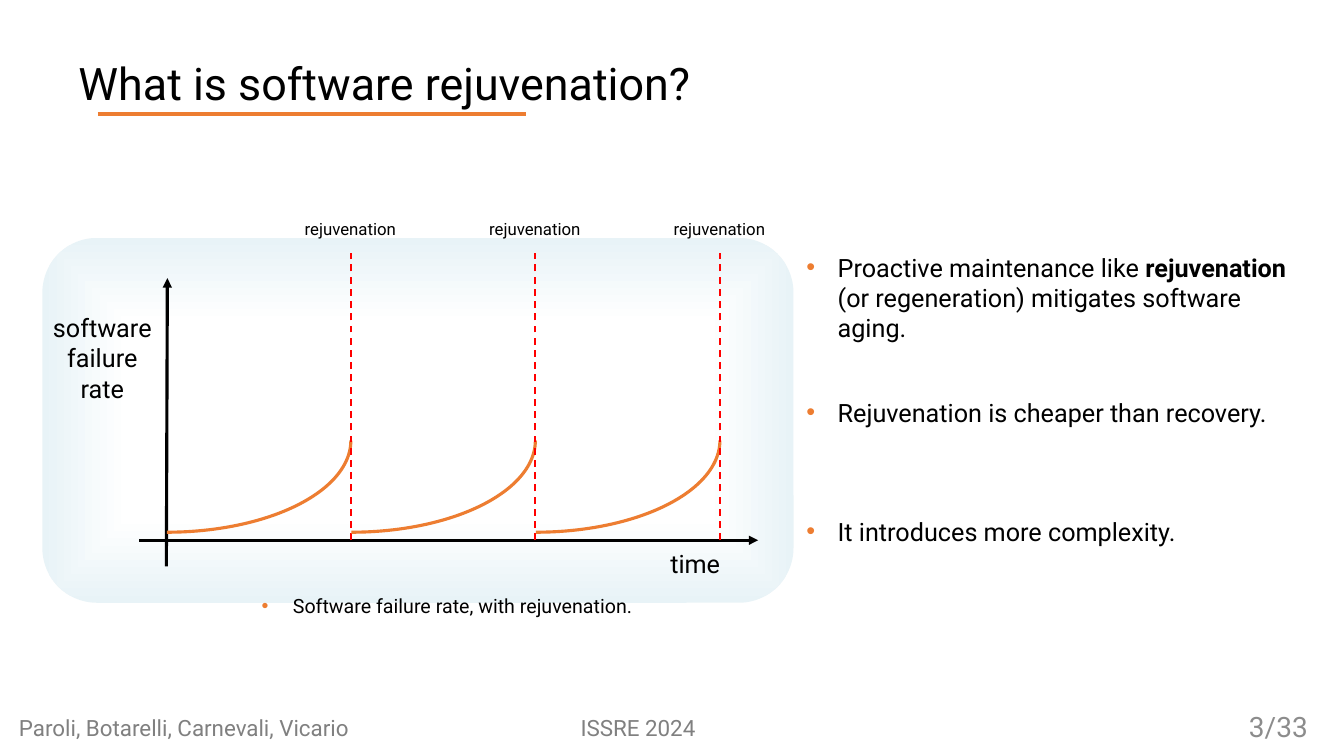
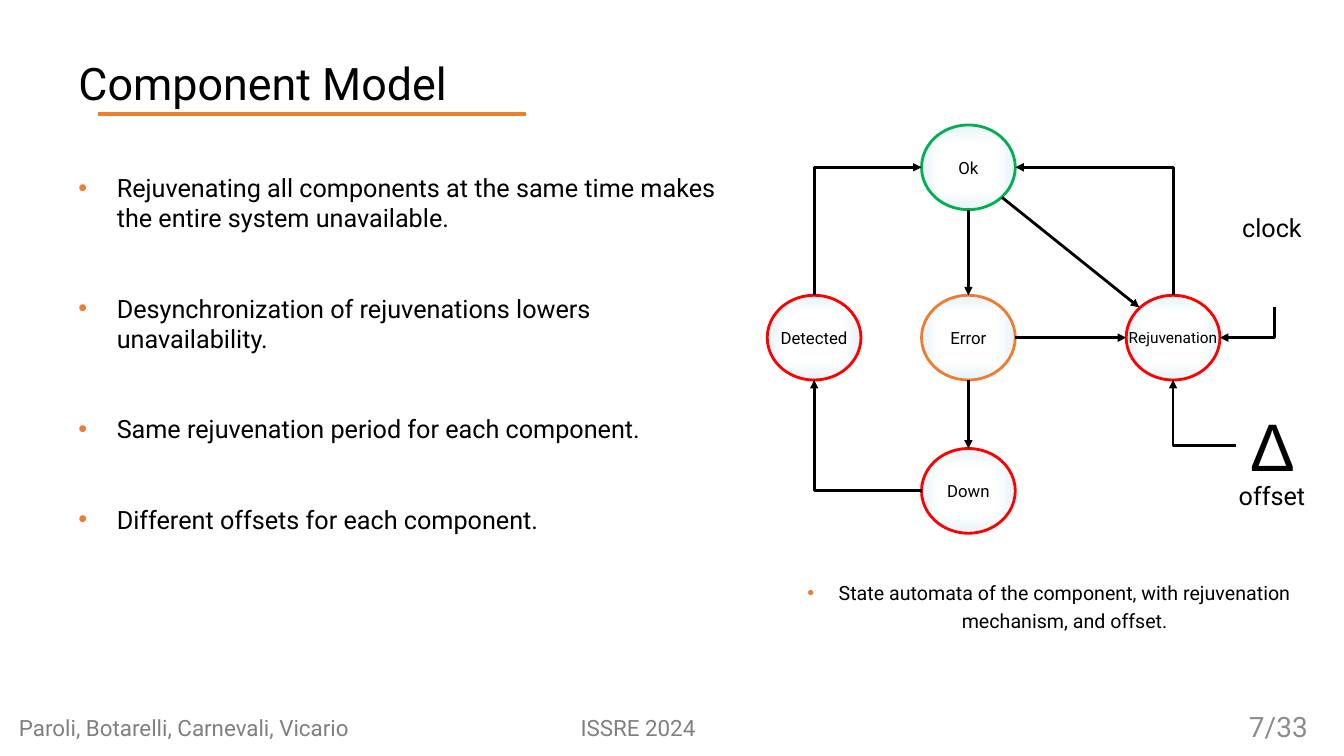
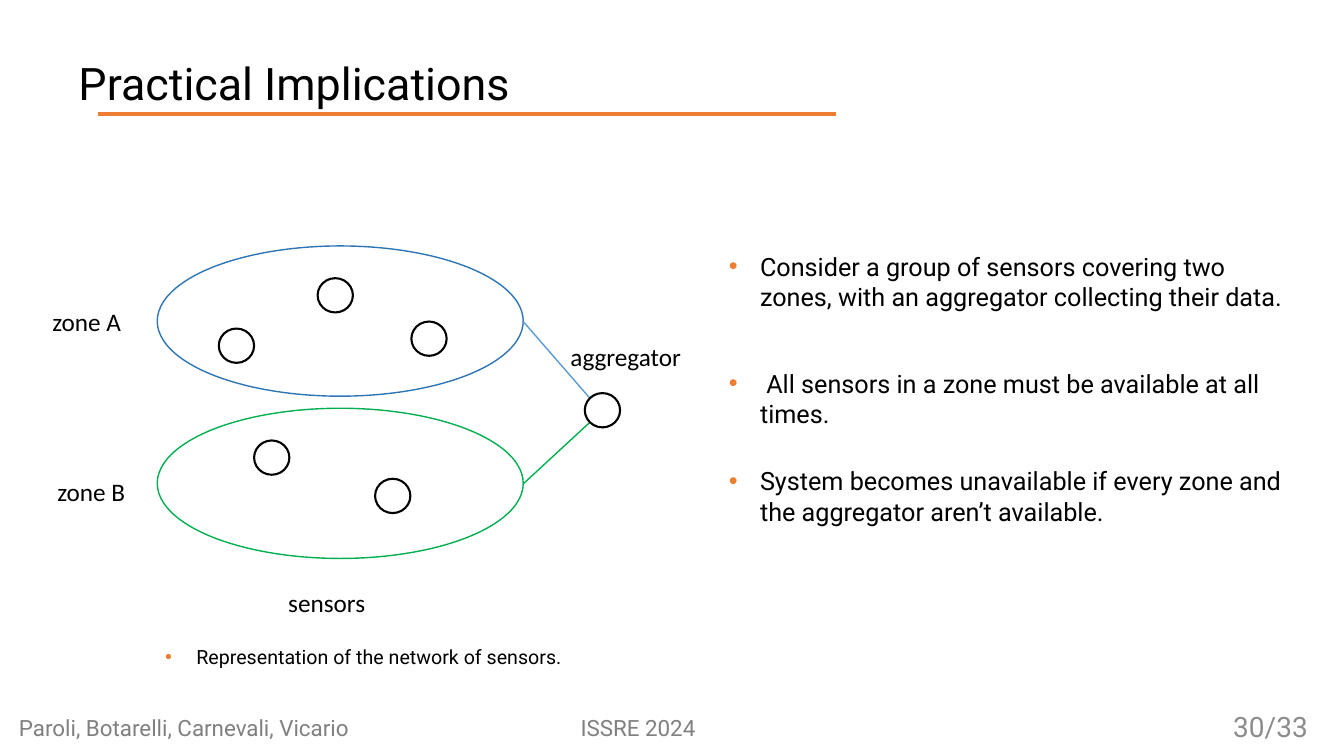
from lxml.etree import SubElement as Sub
from pptx import Presentation
from pptx.dml.color import RGBColor as RGB
from pptx.enum.dml import MSO_LINE
from pptx.enum.shapes import MSO_CONNECTOR as LINK, MSO_SHAPE as SHAPE
from pptx.enum.text import MSO_ANCHOR as ANCHOR, PP_ALIGN as ALIGN
from pptx.oxml.ns import qn
from pptx.util import Inches, Pt

BLACK = RGB(0x00, 0x00, 0x00)
WHITE = RGB(0xFF, 0xFF, 0xFF)
ORANGE = RGB(0xED, 0x7D, 0x31)
RED = RGB(0xFF, 0x00, 0x00)
GREEN = RGB(0x00, 0xB0, 0x50)
BLUE = RGB(0x2E, 0x75, 0xB6)
SKY = RGB(0x5B, 0x9B, 0xD5)
ICE = RGB(0xE8, 0xF3, 0xF7)
GRAY = RGB(0x80, 0x80, 0x80)
SILVER = RGB(0x8C, 0x8C, 0x8C)
FONT = "Roboto"


# Shared parts

def bullet(para, indent):
    props = para._p.get_or_add_pPr()
    props.set("marL", str(Inches(indent)))
    props.set("indent", str(-Inches(indent)))
    Sub(Sub(props, qn("a:buClr")), qn("a:srgbClr"), val=str(ORANGE))
    Sub(props, qn("a:buFont"), typeface="Arial")
    Sub(props, qn("a:buChar"), char="•")


def write(frame, lines, size, color=BLACK, align=ALIGN.LEFT, font=FONT,
          indent=0, gap=0, lead=None):
    """Fill a text frame; parts between ** are bold."""
    for num, line in enumerate(lines):
        para = frame.add_paragraph() if num else frame.paragraphs[0]
        if indent:
            bullet(para, indent)
        para.alignment = align
        if lead:
            para.line_spacing = lead
        if num and gap:
            para.space_before = Pt(gap)
        para.font.size = Pt(size)
        para.font.name = font
        para.font.color.rgb = color
        for pos, part in enumerate(line.split("**")):
            run = para.add_run()
            run.text = part
            if pos % 2:
                run.font.bold = True


def text(slide, x, y, w, h, lines, size, wrap=True, **style):
    box = slide.shapes.add_textbox(Inches(x), Inches(y), Inches(w), Inches(h))
    box.text_frame.word_wrap = wrap
    write(box.text_frame, lines, size, **style)
    return box


def caption(slide, x, y, line):
    text(slide, x, y, 6.03, 0.4, [line], 14, align=ALIGN.CENTER,
         indent=0.31, lead=Pt(20.5))


def points(slide, x, w, items):
    for y, line in items:
        text(slide, x, y, w, 0.71, [line], 18, indent=0.31)


def shape(slide, kind, x, y, w, h, line=None, width=1, fill=None):
    item = slide.shapes.add_shape(kind, Inches(x), Inches(y), Inches(w), Inches(h))
    item.shadow.inherit = False
    if fill:
        item.fill.solid()
        item.fill.fore_color.rgb = fill
    else:
        item.fill.background()
    if line:
        item.line.color.rgb = line
        item.line.width = Pt(width)
    else:
        item.line.fill.background()
    return item


def glow(item):
    """White centre that fades to ice at the rim."""
    item.fill.gradient()
    for stop, color, pos in zip(item.fill.gradient_stops, (WHITE, ICE), (0.53, 1)):
        stop.color.rgb = color
        stop.position = pos
    grad = item.element.spPr.find(qn("a:gradFill"))
    grad.remove(grad.find(qn("a:lin")))
    rim = Sub(grad, qn("a:path"), path="shape")
    Sub(rim, qn("a:fillToRect"), l="50000", t="50000", r="50000", b="50000")


def line(slide, x1, y1, x2, y2, color=BLACK, width=2.0, dash=False, tip=None,
         kind=LINK.STRAIGHT):
    link = slide.shapes.add_connector(kind, Inches(x1), Inches(y1),
                                      Inches(x2), Inches(y2))
    link.line.color.rgb = color
    link.line.width = Pt(width)
    if dash:
        link.line.dash_style = MSO_LINE.DASH
    props = link.element.spPr
    if tip:
        Sub(props.find(qn("a:ln")), qn("a:" + tip), type="triangle")
    Sub(props, qn("a:effectLst"))
    return link


def bend(slide, x1, y1, x2, y2, tip):
    """One-corner arrow: across first, then up or down."""
    link = line(slide, x1, y1, x2, y2, tip=tip, kind=LINK.ELBOW)
    link.element.spPr.find(qn("a:prstGeom")).set("prst", "bentConnector2")


def frame(deck, title, page, rule=4.25):
    """New slide with title, rule and footer."""
    slide = deck.slides.add_slide(deck.slide_layouts[6])
    text(slide, 0.68, 0.5, 10.42, 0.64, [title], 32)
    line(slide, 0.97, 1.13, 0.97 + rule, 1.13, ORANGE, 2.5)
    text(slide, 0.09, 7.04, 5, 0.37, ["Paroli, Botarelli, Carnevali, Vicario"],
         16, color=GRAY)
    text(slide, 5.66, 7.04, 2, 0.37, ["ISSRE 2024"], 16, color=GRAY)
    foot = text(slide, 10.07, 7.01, 3, 0.4, [f"{page}/33"], 20,
                color=SILVER, align=ALIGN.RIGHT)
    foot.text_frame.vertical_anchor = ANCHOR.MIDDLE
    return slide


# Failure rate over time

def plot(slide, x, y):
    panel = shape(slide, SHAPE.ROUNDED_RECTANGLE, x, y, 7.45, 3.62)
    panel.adjustments[0] = 0.15
    glow(panel)
    # Axes
    line(slide, x + 0.96, y + 3, x + 7.1, y + 3, width=2.25, tip="tailEnd")
    line(slide, x + 1.23, y + 3.26, x + 1.24, y + 0.4, width=2.25, tip="tailEnd")
    text(slide, x + 6.13, y + 3.03, 0.9, 0.4, ["time"], 18)
    text(slide, x - 0.04, y + 0.69, 1.27, 1.01, ["software failure rate"], 18,
         align=ALIGN.CENTER)
    # Growth up to each rejuvenation
    for num in range(3):
        end = x + 3.06 + 1.83 * num
        arc = shape(slide, SHAPE.ARC, end - 3.65, y + 1.1, 3.65, 1.82, ORANGE, 2.25)
        arc.adjustments[0] = 0
        arc.adjustments[1] = 54
        line(slide, end, y + 3, end, y + 0.15, RED, 1.25, dash=True)
        text(slide, end - 1, y - 0.18, 1.99, 0.27, ["rejuvenation"], 12,
             align=ALIGN.CENTER, lead=0.7)
    caption(slide, x + 1, y + 3.43, "Software failure rate, with rejuvenation.")


# State automaton

def node(slide, x, y, name, color, size=12):
    item = shape(slide, SHAPE.OVAL, x, y, 0.93, 0.84, color, 2)
    glow(item)
    body = item.text_frame
    body.word_wrap = False
    body.margin_left = body.margin_right = 0
    body.margin_top = body.margin_bottom = 0
    write(body, [name], size, align=ALIGN.CENTER)


def states(slide, x, y):
    left, mid, right = x, x + 1.53, x + 3.56
    top, row, low = y, y + 1.69, y + 3.21
    wide, high = 0.93, 0.84
    dx, dy = wide / 2, high / 2
    node(slide, left, row, "Detected", RED)
    node(slide, mid, top, "Ok", GREEN)
    node(slide, mid, row, "Error", ORANGE)
    node(slide, mid, low, "Down", RED)
    node(slide, right, row, "Rejuvenation", RED, 11)
    # Straight moves
    for x1, y1, x2, y2 in (
            (mid + dx, top + high, mid + dx, row),
            (mid + dx, row + high, mid + dx, low),
            (mid + wide, row + dy, right, row + dy),
            (mid + 0.8, top + 0.72, right + 0.13, row + 0.12)):
        line(slide, x1, y1, x2, y2, tip="tailEnd")
    # Moves with a corner
    for x1, y1, x2, y2, tip in (
            (mid, low + dy, left + dx, row + high, "tailEnd"),
            (mid, top + dy, left + dx, row, "headEnd"),
            (mid + wide, top + dy, right + dx, row, "headEnd"),
            (right + wide, row + dy, right + 1.47, row + 0.12, "headEnd"),
            (right + 1.09, row + 1.49, right + dx, row + high, "tailEnd")):
        bend(slide, x1, y1, x2, y2, tip)
    # Clock and offset
    for dy, name in ((0.82, "clock"), (3.48, "offset")):
        text(slide, x + 4.43, y + dy, 1.15, 0.4, [name], 18, align=ALIGN.CENTER)
    text(slide, x + 4.65, y + 2.72, 0.72, 0.91, ["∆"], 48, wrap=False,
         align=ALIGN.CENTER, font="Arial")
    caption(slide, x - 0.22, y + 4.42,
            "State automata of the component, with rejuvenation mechanism, and offset.")


# Sensor network

def network(slide, x, y):
    # Zones and their links
    for dy, color, link, end in ((0, BLUE, SKY, 1.51), (1.61, GREEN, GREEN, 1.75)):
        shape(slide, SHAPE.OVAL, x + 1.14, y + dy, 3.63, 1.49, color, 1)
        line(slide, x + 4.77, y + dy + 0.75, x + 5.43, y + end, link, 1)
    # Sensors, then the aggregator
    for dx, dy in ((2.1, 1.93), (1.75, 0.82), (2.73, 0.32), (3.3, 2.31),
                   (3.66, 0.75), (5.38, 1.46)):
        shape(slide, SHAPE.OVAL, x + dx, y + dy, 0.35, 0.34, BLACK, 1.5, WHITE)
    for dx, dy, name in ((0, 0.55, "zone A"), (0.05, 2.24, "zone B"),
                         (5.14, 0.9, "aggregator"), (2.34, 3.34, "sensors")):
        text(slide, x + dx, y + dy, 1.32, 0.4, [name], 18, font="Calibri")
    caption(slide, x + 0.17, y + 3.86, "Representation of the network of sensors.")


def main():
    deck = Presentation()
    deck.slide_width, deck.slide_height = Inches(13.33), Inches(7.5)

    slide = frame(deck, "What is software rejuvenation?", 3)
    plot(slide, 0.42, 2.36)
    points(slide, 7.9, 5.17, (
        (2.45, "Proactive maintenance like** rejuvenation **"
               "(or regeneration) mitigates software aging."),
        (3.89, "Rejuvenation is cheaper than recovery."),
        (5.07, "It introduces more complexity.")))

    slide = frame(deck, "Component Model", 7)
    text(slide, 0.68, 1.66, 6.71, 3.21, [
        "Rejuvenating all components at the same time makes the entire system unavailable.",
        "Desynchronization of rejuvenations lowers unavailability.",
        "Same rejuvenation period for each component.",
        "Different offsets for each component."], 18, indent=0.38, gap=43)
    states(slide, 7.61, 1.24)

    slide = frame(deck, "Practical Implications", 30, rule=7.32)
    network(slide, 0.42, 2.44)
    points(slide, 7.13, 5.85, (
        (2.44, "Consider a group of sensors covering two zones, "
               "with an aggregator collecting their data."),
        (3.6, " All sensors in a zone must be available at all times."),
        (4.57, "System becomes unavailable if every zone and "
               "the aggregator aren’t available.")))

    deck.save("out.pptx")


if __name__ == "__main__":
    main()
